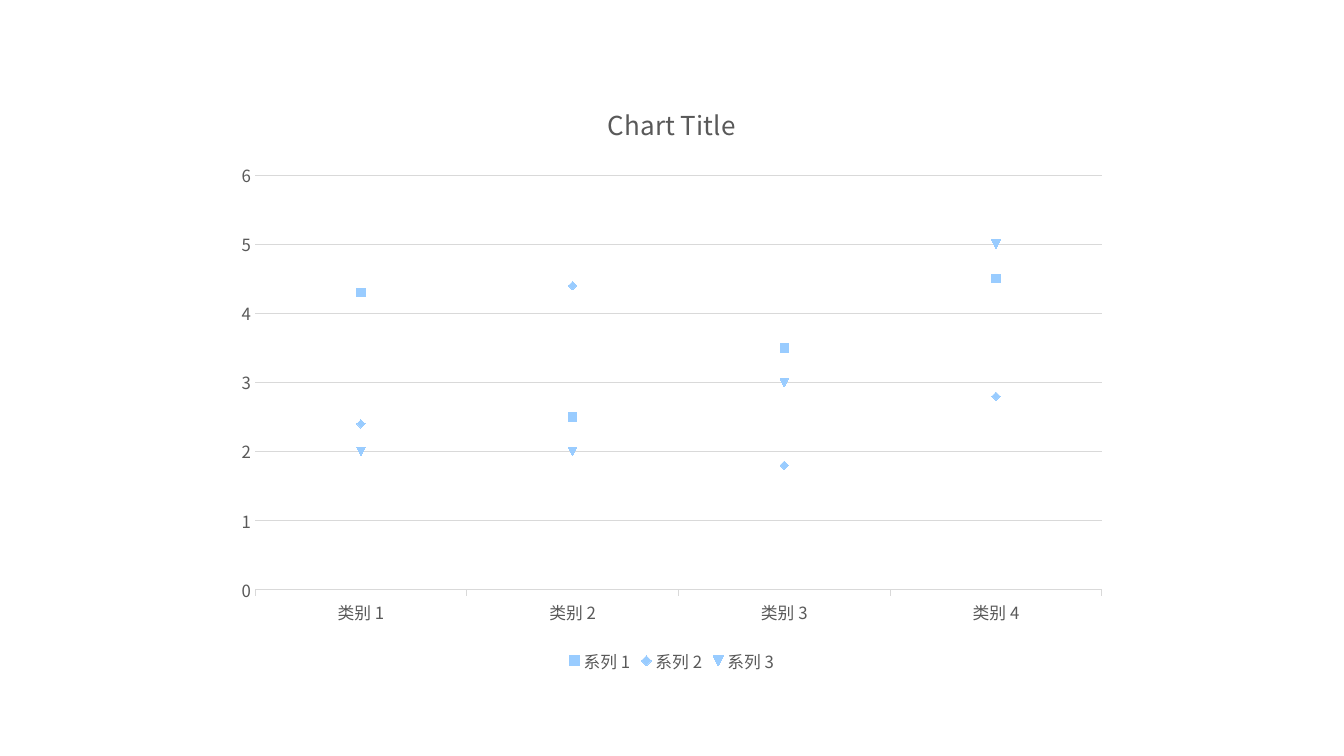
from lxml import etree
from pptx import Presentation
from pptx.chart.data import CategoryChartData
from pptx.dml.color import RGBColor
from pptx.enum.chart import XL_CHART_TYPE, XL_LEGEND_POSITION, XL_MARKER_STYLE, XL_TICK_MARK
from pptx.oxml.ns import qn
from pptx.util import Cm, Pt

LINE_MARKERS = XL_CHART_TYPE.LINE_MARKERS
LEGEND_BOTTOM = XL_LEGEND_POSITION.BOTTOM
AUTO_MARKER = XL_MARKER_STYLE.AUTOMATIC
TICK_OUT, TICK_NONE = XL_TICK_MARK.OUTSIDE, XL_TICK_MARK.NONE

FONT = "Noto Sans CJK SC"
TEXT_GREY = RGBColor(0x59, 0x59, 0x59)
RULE_GREY = RGBColor(0xD9, 0xD9, 0xD9)
MARKER_BLUE = RGBColor(0x99, 0xCC, 0xFF)

CATEGORIES = [f"类别 {number}" for number in range(1, 5)]
SERIES = {
    "系列 1": (4.3, 2.5, 3.5, 4.5),
    "系列 2": (2.4, 4.4, 1.8, 2.8),
    "系列 3": (2, 2, 3, 5),
}


class ChartSlide:
    """Holds the text and line style and the slide being filled."""

    def __init__(self, slide):
        self.slide = slide

    def style_font(self, font, size=12):
        font.name = FONT
        font.size = Pt(size)
        font.bold = False
        font.color.rgb = TEXT_GREY

    def style_rule(self, line):
        line.color.rgb = RULE_GREY
        line.width = Pt(0.75)

    def add_marker_chart(self, left, top, width, height):
        chart_data = CategoryChartData()
        chart_data.categories = CATEGORIES
        for name, values in SERIES.items():
            chart_data.add_series(name, values)
        chart = self.slide.shapes.add_chart(
            LINE_MARKERS, Cm(left), Cm(top), Cm(width), Cm(height), chart_data
        ).chart
        chart.font.name = FONT
        chart.font.size = Pt(10)
        for series in chart.plots[0].series:
            series.smooth = False
            series.format.line.fill.background()
            series.marker.style = AUTO_MARKER
            series.marker.size = 6
            series.marker.format.fill.solid()
            series.marker.format.fill.fore_color.rgb = MARKER_BLUE
            series.marker.format.line.fill.background()
        return chart

    def add_title(self, chart, text):
        chart.has_title = True
        chart.chart_title.include_in_layout = False
        run = chart.chart_title.text_frame.paragraphs[0].add_run()
        run.text = text
        self.style_font(run.font, 18.6)

    def style_axes(self, chart):
        category_axis, value_axis = chart.category_axis, chart.value_axis
        for axis, tick in ((category_axis, TICK_OUT), (value_axis, TICK_NONE)):
            self.style_font(axis.tick_labels.font)
            axis.major_tick_mark = tick
            axis.minor_tick_mark = TICK_NONE
        self.style_rule(category_axis.format.line)
        value_axis.format.line.fill.background()
        value_axis.minimum_scale, value_axis.maximum_scale = 0, 6
        value_axis.major_unit = 1
        value_axis.has_major_gridlines = True
        self.style_rule(value_axis.major_gridlines.format.line)

    def add_legend(self, chart):
        chart.has_legend = True
        chart.legend.position = LEGEND_BOTTOM
        chart.legend.include_in_layout = False
        self.style_font(chart.legend.font)

    def set_east_asian_font(self, chart):
        for latin in list(chart.element.iter(qn("a:latin"))):
            east_asian = etree.Element(qn("a:ea"))
            east_asian.set("typeface", FONT)
            latin.addnext(east_asian)


def main():
    deck = Presentation()
    deck.slide_width, deck.slide_height = Cm(33.87), Cm(19.05)
    page = ChartSlide(deck.slides.add_slide(deck.slide_layouts[6]))

    # Markers of the three series
    marker_chart = page.add_marker_chart(5.64, 2.01, 22.58, 15.06)

    # Title, axes and legend
    page.add_title(marker_chart, "Chart Title")
    page.style_axes(marker_chart)
    page.add_legend(marker_chart)
    page.set_east_asian_font(marker_chart)

    deck.save("out.pptx")


if __name__ == "__main__":
    main()
